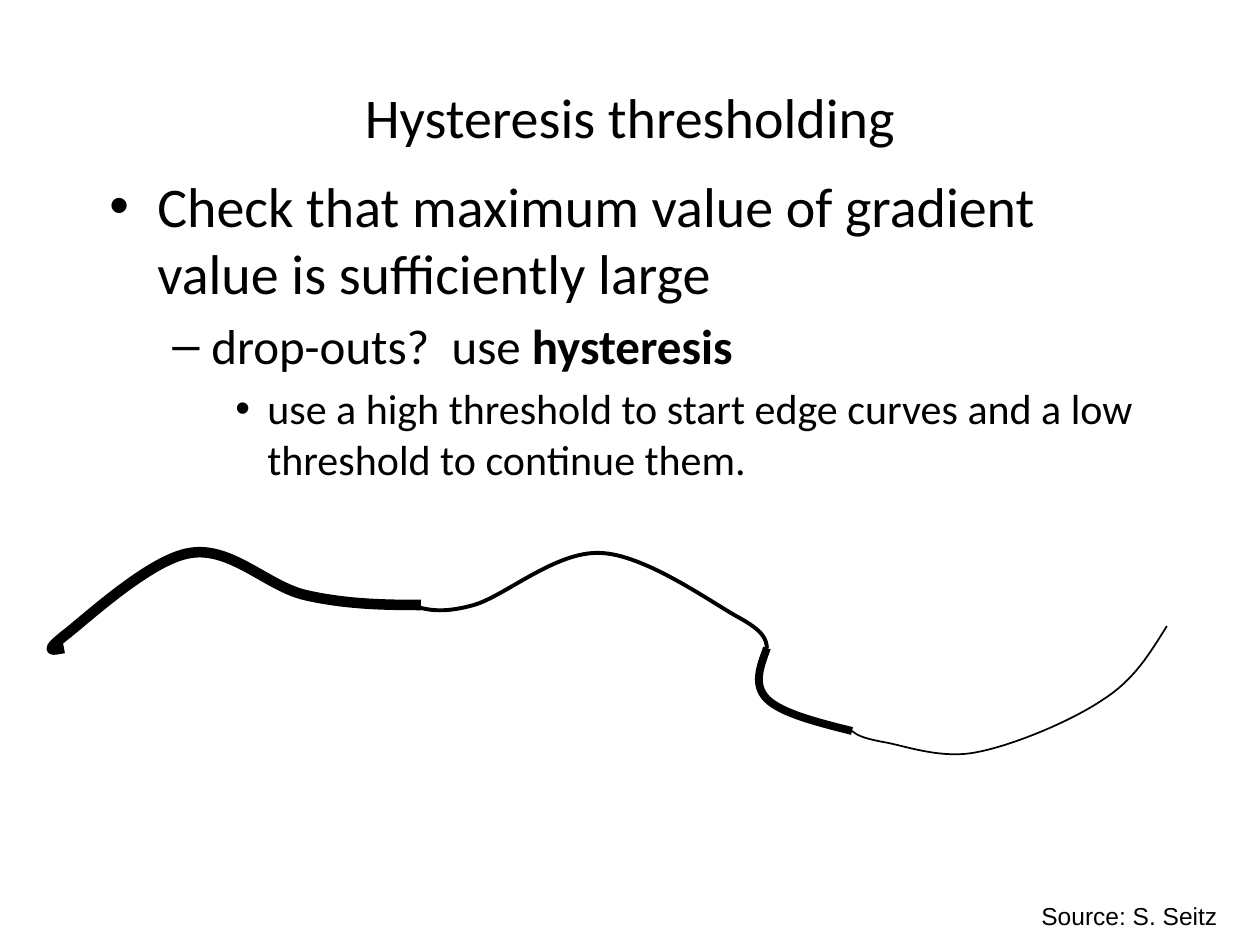
from dataclasses import dataclass

from lxml import etree
from pptx import Presentation
from pptx.dml.color import RGBColor
from pptx.enum.text import MSO_ANCHOR, PP_ALIGN
from pptx.oxml.ns import qn
from pptx.util import Emu, Pt

MIDDLE = MSO_ANCHOR.MIDDLE
CENTER = PP_ALIGN.CENTER
SCALE = 914400 / 126
BLACK = "000000"


@dataclass
class Item:
    runs: list[tuple[str, bool]]
    mark: str
    left: int
    hang: int
    size: int
    gap: float


@dataclass
class Curve:
    width: float
    points: list[tuple[int, int]]


ITEMS = [
    Item([("Check that maximum value of gradient value is sufficiently large", False)],
         "•", 48, 48, 32, 0),
    Item([("drop-outs?  use ", False), ("hysteresis", True)], "–", 102, 39, 28, 5.6),
    Item([("use a high threshold to start edge curves and a low threshold to continue them.", False)],
         "•", 158, 32, 24, 4.8),
]

CURVES = [
    Curve(6, [(64, 648), (53, 650), (43, 653), (64, 636),
              (84, 621), (150, 559), (190, 553),
              (231, 546), (267, 586), (305, 595),
              (344, 604), (382, 605), (421, 605)]),
    Curve(2.25, [(411, 605), (426, 610), (442, 614), (474, 605),
                 (505, 596), (556, 551), (600, 553),
                 (643, 554), (708, 600), (736, 616),
                 (764, 631), (766, 639), (767, 648)]),
    Curve(4.5, [(767, 648), (760, 667), (753, 685), (767, 699),
                (781, 713), (816, 722), (852, 731)]),
    Curve(1, [(852, 731), (857, 735), (862, 738), (883, 742),
              (903, 745), (941, 760), (978, 752),
              (1014, 745), (1072, 721), (1104, 699),
              (1135, 679), (1150, 653), (1167, 626)]),
]


def px(size: int) -> Emu:
    return Emu(round(size * SCALE))


def color(code: str) -> RGBColor:
    return RGBColor.from_string(code)


def style(para, face: str, size: int) -> None:
    para.font.name = face
    para.font.size = Pt(size)
    para.font.color.rgb = color(BLACK)


def add_box(slide, left: int, top: int, width: int, height: int):
    box = slide.shapes.add_textbox(px(left), px(top), px(width), px(height))
    box.text_frame.word_wrap = True
    return box.text_frame


def add_item(para, item: Item) -> None:
    props = para._p.get_or_add_pPr()
    props.set("marL", str(px(item.left)))
    props.set("indent", str(-px(item.hang)))
    etree.SubElement(props, qn("a:buFont")).set("typeface", "Arial")
    etree.SubElement(props, qn("a:buChar")).set("char", item.mark)
    para.space_before = Pt(item.gap)
    style(para, "Calibri", item.size)
    for text, bold in item.runs:
        run = para.add_run()
        run.text = text
        if bold:
            run.font.bold = True


def add_curve(slide, curve: Curve) -> None:
    first, *rest = curve.points
    form = slide.shapes.build_freeform(*first, scale=SCALE)
    form.add_line_segments(rest, close=False)
    shape = form.convert_to_shape()
    shape.shadow.inherit = False
    shape.fill.background()
    shape.line.color.rgb = color(BLACK)
    shape.line.width = Pt(curve.width)
    lines = list(shape._element.iter(qn("a:lnTo")))
    for start in range(0, len(lines), 3):
        bend = etree.Element(qn("a:cubicBezTo"))
        lines[start].addprevious(bend)
        for line in lines[start:start + 3]:
            bend.append(line[0])
            line.getparent().remove(line)


def main() -> None:
    deck = Presentation()
    deck.slide_width, deck.slide_height = px(1260), px(945)
    slide = deck.slides.add_slide(deck.slide_layouts[5])

    title = slide.shapes.title
    title.left, title.top = px(63), px(38)
    title.width, title.height = px(1134), px(157)
    frame = title.text_frame
    frame.text = "Hysteresis thresholding"
    frame.vertical_anchor = MIDDLE
    frame.paragraphs[0].alignment = CENTER
    style(frame.paragraphs[0], "Calibri", 32)

    body = add_box(slide, 97, 165, 1071, 567)
    for index, item in enumerate(ITEMS):
        add_item(body.add_paragraph() if index else body.paragraphs[0], item)

    for curve in CURVES:
        add_curve(slide, curve)

    credit = add_box(slide, 1029, 895, 272, 43)
    credit.text = "Source: S. Seitz"
    style(credit.paragraphs[0], "Arial", 14)

    deck.save("out.pptx")


if __name__ == "__main__":
    main()
